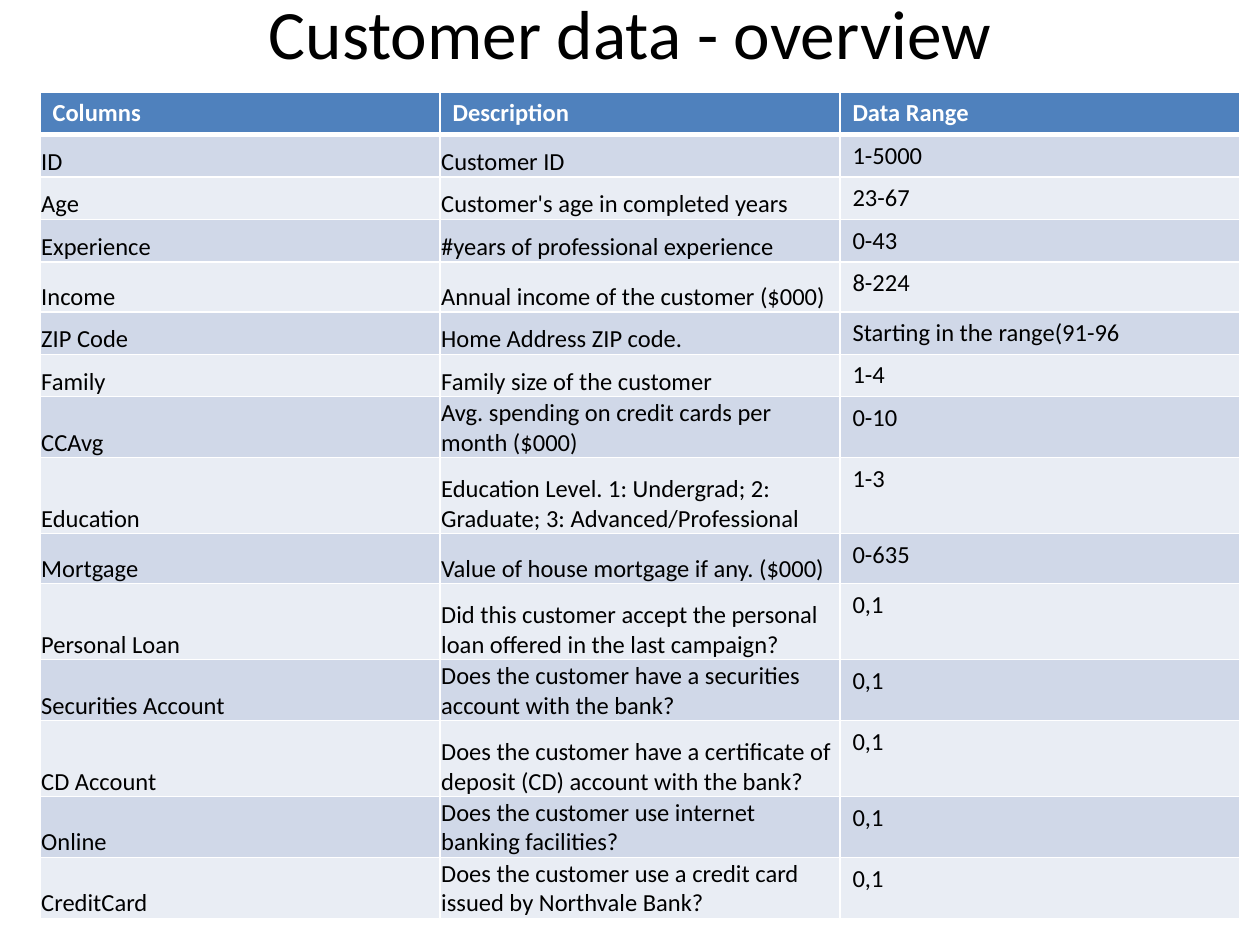
from lxml import etree
from pptx import Presentation, util as u
from pptx.dml.color import RGBColor
from pptx.enum import text
from pptx.oxml.ns import qn

# Content: column name, description, data range, row height
TITLE = "Customer data - overview"
ROWS = [
    ("Columns", "Description", "Data Range", 40),
    ("ID", "Customer ID", "1-5000", 40),
    ("Age", "Customer's age in completed years", "23-67", 40),
    ("Experience", "#years of professional experience", "0-43", 40),
    ("Income", "Annual income of the customer ($000)", "8-224", 50),
    ("ZIP Code", "Home Address ZIP code.", "Starting in the range(91-96", 40),
    ("Family", "Family size of the customer", "1-4", 40),
    ("CCAvg", "Avg. spending on credit cards per month ($000)", "0-10", 58),
    ("Education", "Education Level. 1: Undergrad; 2: Graduate; 3: Advanced/Professional", "1-3", 76),
    ("Mortgage", "Value of house mortgage if any. ($000)", "0-635", 50),
    ("Personal Loan", "Did this customer accept the personal loan offered in the last campaign?", "0,1", 76),
    ("Securities Account", "Does the customer have a securities account with the bank?", "0,1", 58),
    ("CD Account", "Does the customer have a certificate of deposit (CD) account with the bank?", "0,1", 76),
    ("Online", "Does the customer use internet banking facilities?", "0,1", 58),
    ("CreditCard", "Does the customer use a credit card issued by Northvale Bank?", "0,1", 58),
]
COLORS = {"ink": "000000", "white": "FFFFFF", "header": "4F81BD",
          "odd": "D0D8E8", "even": "E9EDF4"}
TIGHT = {"vertical_anchor": text.MSO_ANCHOR.BOTTOM, "margin_left": u.Inches(0.01),
         "margin_right": u.Inches(0.01), "margin_top": u.Inches(0.01), "margin_bottom": 0}
COLUMN_WIDTH = 400
PX = u.Inches(1) // 126


def apply(target, values):
    for key, value in values.items():
        setattr(target, key, value)


def style_font(font, size, color, bold=False):
    apply(font, {"name": "Calibri", "size": u.Pt(size), "bold": bold})
    font.color.rgb = RGBColor.from_string(COLORS[color])


def add_borders(cell, bottom):
    props = cell._tc.get_or_add_tcPr()
    for side, points in (("L", 1), ("R", 1), ("T", 1), ("B", bottom)):
        line = etree.SubElement(props, qn(f"a:ln{side}"), w=str(u.Pt(points)))
        fill = etree.SubElement(line, qn("a:solidFill"))
        etree.SubElement(fill, qn("a:srgbClr"), val=COLORS["white"])


deck = Presentation()
apply(deck, {"slide_width": u.Inches(10), "slide_height": u.Inches(7.5)})
slide = deck.slides.add_slide(deck.slide_layouts[5])

# Title
heading = slide.shapes.title
apply(heading, {"left": 63 * PX, "top": 0, "width": 1134 * PX, "height": 63 * PX})
apply(heading.text_frame, {"text": TITLE, "vertical_anchor": text.MSO_ANCHOR.MIDDLE,
                           "auto_size": text.MSO_AUTO_SIZE.NONE, "word_wrap": True})
heading.text_frame.paragraphs[0].alignment = text.PP_ALIGN.CENTER
style_font(heading.text_frame.paragraphs[0].runs[0].font, 39.6, "ink")

# Data dictionary table
overview = slide.shapes.add_table(
    len(ROWS), 3, 40 * PX, 92 * PX, 3 * COLUMN_WIDTH * PX,
    sum(row[-1] for row in ROWS) * PX).table
for column in overview.columns:
    column.width = COLUMN_WIDTH * PX

for r, (*entries, height) in enumerate(ROWS):
    overview.rows[r].height = height * PX
    is_header = r == 0
    band = "header" if is_header else ("even", "odd")[r % 2]
    for c, entry in enumerate(entries):
        cell = overview.cell(r, c)
        cell.text = entry
        add_borders(cell, 3 if is_header else 1)
        cell.fill.solid()
        cell.fill.fore_color.rgb = RGBColor.from_string(COLORS[band])
        if not is_header and c < 2:
            apply(cell, TIGHT)
        style_font(cell.text_frame.paragraphs[0].runs[0].font, 14,
                   "white" if is_header else "ink", is_header)

deck.save("out.pptx")
